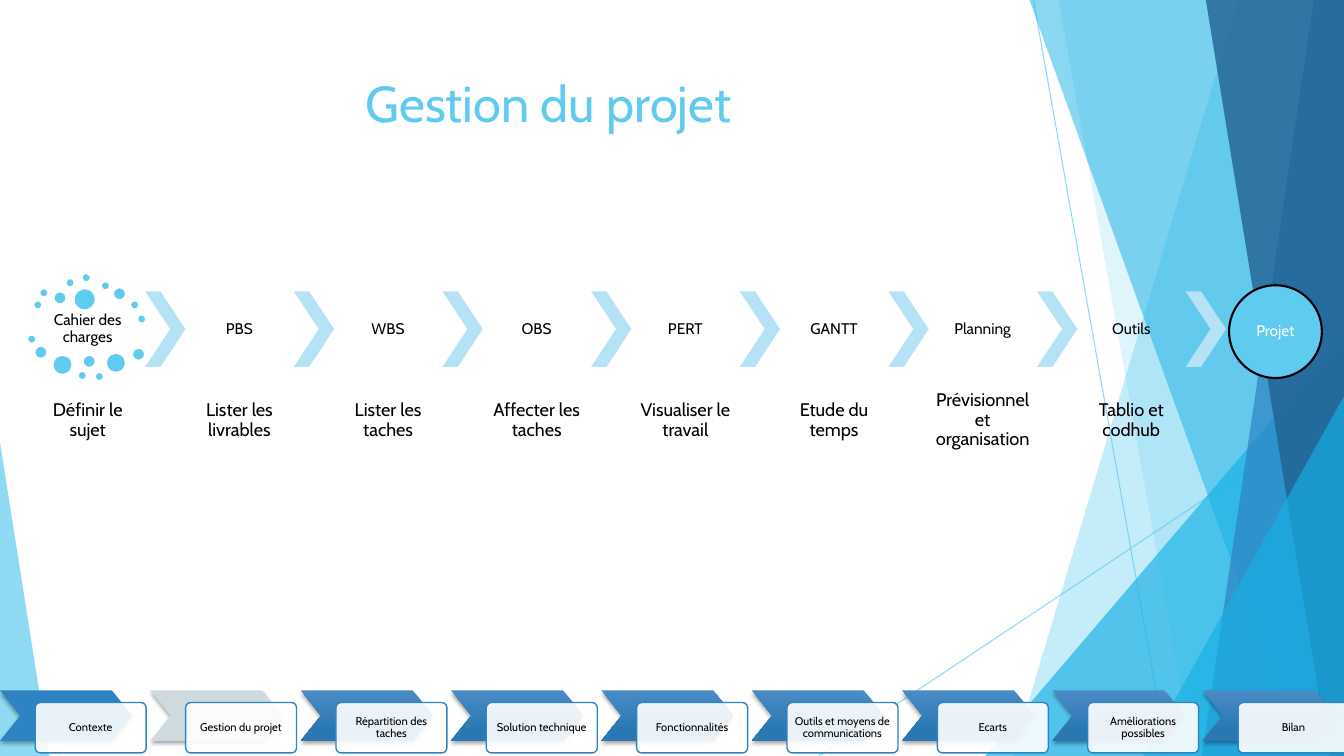
from lxml import etree
from pptx import Presentation
from pptx.dml.color import RGBColor
from pptx.enum.shapes import MSO_CONNECTOR, MSO_SHAPE
from pptx.enum.text import MSO_ANCHOR, MSO_AUTO_SIZE, PP_ALIGN
from pptx.oxml.ns import qn
from pptx.util import Inches, Pt

CHEVRON, OVAL = MSO_SHAPE.CHEVRON, MSO_SHAPE.OVAL
TRIANGLE, ROUNDED = MSO_SHAPE.ISOSCELES_TRIANGLE, MSO_SHAPE.ROUNDED_RECTANGLE
STRAIGHT = MSO_CONNECTOR.STRAIGHT
CENTER = PP_ALIGN.CENTER
TOP, MIDDLE = MSO_ANCHOR.TOP, MSO_ANCHOR.MIDDLE

FONT = "Cabin"
WIDTH, HEIGHT = 13.33, 7.5
COLORS = {
    "sky": "5FCBEF", "cyan": "17B0E4", "blue": "2E83C3", "navy": "226292",
    "pale": "B6E2F6", "current": "CFDADF", "grad_top": "4A8BC6",
    "grad_bottom": "2A78B2", "black": "000000", "white": "FFFFFF",
}

STEPS = [
    ("Cahier des charges", "Définir le sujet"),
    ("PBS", "Lister les livrables"),
    ("WBS", "Lister les taches"),
    ("OBS", "Affecter les taches"),
    ("PERT", "Visualiser le travail"),
    ("GANTT", "Etude du temps"),
    ("Planning", "Prévisionnel et organisation"),
    ("Outils", "Tablio et codhub"),
]
# Dots around the first step: diameter -> left, top within the process box
DOTS = {
    0.09: [(0.06, 0.27), (0.12, 0.15), (0.38, 0.05), (0.54, 0), (0.73, 0.08),
           (1.02, 0.27), (1.09, 0.41), (0, 0.61), (0.5, 0.97), (0.67, 0.98)],
    0.13: [(0.26, 0.18), (0.85, 0.14), (0.07, 0.72), (0.55, 0.81), (1.04, 0.74)],
    0.2: [(0.25, 0.81), (0.78, 0.79)],
    0.22: [(0.46, 0.15)],
}
CHAPTERS = [
    "Contexte", "Gestion du projet", "Répartition des taches",
    "Solution technique", "Fonctionnalités",
    "Outils et moyens de communications", "Ecarts",
    "Améliorations possibles", "Bilan",
]


def rgb(name):
    return RGBColor.from_string(COLORS[name])


def set_alpha(color_format, percent):
    """Make a solid fill or line partly transparent."""
    node = color_format._xPr.find(qn("a:solidFill"))[0]
    etree.SubElement(node, qn("a:alpha"), val=str(percent * 1000))


def style(shape, fill, alpha=None, line=None, weight=1.5):
    shape.shadow.inherit = False
    shape.fill.solid()
    shape.fill.fore_color.rgb = rgb(fill)
    if alpha:
        set_alpha(shape.fill, alpha)
    if line:
        shape.line.color.rgb = rgb(line)
        shape.line.width = Pt(weight)
    else:
        shape.line.fill.background()
    return shape


def add_preset(slide, kind, box, fill, adjust=None, **look):
    shape = slide.shapes.add_shape(kind, *map(Inches, box))
    if adjust is not None:
        shape.adjustments[0] = adjust
    return style(shape, fill, **look)


def write(frame, text, size, color="black", anchor=MIDDLE, inset=0.02, spacing=0.9):
    frame.word_wrap = True
    frame.auto_size = MSO_AUTO_SIZE.NONE
    frame.vertical_anchor = anchor
    frame.margin_left = frame.margin_right = Inches(inset)
    frame.margin_top = frame.margin_bottom = Inches(inset)
    paragraph = frame.paragraphs[0]
    paragraph.alignment = CENTER
    paragraph.line_spacing = spacing
    run = paragraph.add_run()
    run.text = text
    run.font.name, run.font.size = FONT, Pt(size)
    run.font.color.rgb = rgb(color)


def add_text(slide, box, text, **format):
    write(slide.shapes.add_textbox(*map(Inches, box)).text_frame, text, **format)


def add_thin_line(slide, start, end):
    line = slide.shapes.add_connector(STRAIGHT, *map(Inches, start + end))
    line.line.color.rgb = rgb("sky")
    line.line.width = Pt(0.75)
    set_alpha(line.line.fill, 70)
    etree.SubElement(line._element.spPr, qn("a:effectLst"))


def add_band(slide, right, bottom, top_x, bottom_x, fill, alpha):
    """Slanted band reaching from its left edge to the right side."""
    outline = slide.shapes.build_freeform(Inches(top_x), 0, scale=1.0)
    corners = [(right, 0), (right, bottom), (bottom_x, bottom)]
    outline.add_line_segments([(Inches(x), Inches(y)) for x, y in corners], close=True)
    style(outline.convert_to_shape(), fill, alpha=alpha)


def add_facets(slide, box):
    left, top, width, height = box
    right, bottom = left + width, top + height

    def corner(base, rise, fill, alpha):
        add_preset(slide, TRIANGLE, (right - base, bottom - rise, base, rise),
                   fill, adjust=1, alpha=alpha)

    add_thin_line(slide, (10.25, top), (11.58, bottom))
    add_thin_line(slide, (right, 4.03), (8.12, bottom))
    add_band(slide, right, bottom, 12.28, 10.04, "sky", 36)
    add_band(slide, right, bottom, 10.5, 11.83, "sky", 20)
    corner(3.56, 4.17, "cyan", 66)
    add_band(slide, right, bottom, 10.21, 12.91, "cyan", 50)
    add_band(slide, right, bottom, 13.03, 11.92, "blue", 70)
    add_band(slide, right, bottom, 11.96, 13.18, "navy", 80)
    corner(1.99, 3.57, "cyan", 66)
    add_preset(slide, TRIANGLE, (left, bottom - 3.11, 0.49, 3.11),
               "sky", adjust=0, alpha=70)


def add_title(slide, box):
    title = slide.shapes.title
    title.left, title.top, title.width, title.height = map(Inches, box)
    write(title.text_frame, "Gestion du projet", size=36, color="sky",
          anchor=TOP, inset=0.05, spacing=1)


def add_process(slide, box):
    left, top, width, _ = box
    label_width, arrow_width, arrow_height = 1.08, 0.4, 0.75
    first_arrow, last_arrow = left + 1.17, left + width - 1.35
    pitch = (last_arrow - first_arrow) / (len(STEPS) - 1)

    for index, (step, purpose) in enumerate(STEPS):
        arrow_x = first_arrow + index * pitch
        # The first step sits inside the ring of dots
        label_x = arrow_x - label_width if index else left + 0.06
        label_y, label_height = (top + 0.18, 0.75) if index else (top + 0.38, 0.35)
        add_text(slide, (label_x, label_y, label_width, label_height), step, size=11)
        add_text(slide, (label_x, top + 1.13, label_width, 0.66), purpose, size=13)
        add_preset(slide, CHEVRON, (arrow_x, top + 0.18, arrow_width, arrow_height),
                   "pale", adjust=0.62)

    for diameter, places in DOTS.items():
        for x, y in places:
            add_preset(slide, OVAL, (left + x, top + y, diameter, diameter),
                       "sky", line="white")

    # Result of the process
    result = add_preset(slide, OVAL, (left + width - 0.92, top + 0.12, 0.92, 0.92),
                        "sky", line="black")
    write(result.text_frame, "Projet", size=11, color="white", inset=0)


def add_drop_shadow(shape):
    effects = shape._element.spPr.find(qn("a:effectLst"))
    shadow = etree.SubElement(effects, qn("a:outerShdw"), blurRad=str(Pt(3)),
                              dist=str(Pt(2)), dir="5400000", rotWithShape="0")
    color = etree.SubElement(shadow, qn("a:srgbClr"), val=COLORS["black"])
    etree.SubElement(color, qn("a:alpha"), val="35000")


def shade(fill):
    fill.gradient()
    fill.gradient_angle = 270
    upper, lower = fill.gradient_stops
    upper.color.rgb, lower.color.rgb = rgb("grad_top"), rgb("grad_bottom")
    upper.position, lower.position = 0, 0.78


def add_chapter_bar(slide, box):
    left, top, width, _ = box
    pitch = (width - 1.45) / (len(CHAPTERS) - 1)
    for index, chapter in enumerate(CHAPTERS):
        x = left + index * pitch
        arrow = add_preset(slide, CHEVRON, (x, top, 1.31, 0.5),
                           "current" if index == 1 else "blue", adjust=0.4)
        if index > 1:
            shade(arrow.fill)
        add_drop_shadow(arrow)
        card = add_preset(slide, ROUNDED, (x + 0.35, top + 0.12, 1.1, 0.5), "white",
                          adjust=0.1, alpha=90, line="blue", weight=1)
        write(card.text_frame, chapter, size=8, inset=0.06)


def main():
    deck = Presentation()
    deck.slide_width, deck.slide_height = Inches(WIDTH), Inches(HEIGHT)
    slide = deck.slides.add_slide(deck.slide_layouts[5])
    add_facets(slide, (0, 0, WIDTH, HEIGHT))
    add_title(slide, (0.74, 0.67, 9.4, 1.44))
    add_process(slide, (0.27, 2.71, 12.84, 1.79))
    add_chapter_bar(slide, (0, 6.85, 13.38, 0.62))
    deck.save("out.pptx")


if __name__ == "__main__":
    main()
